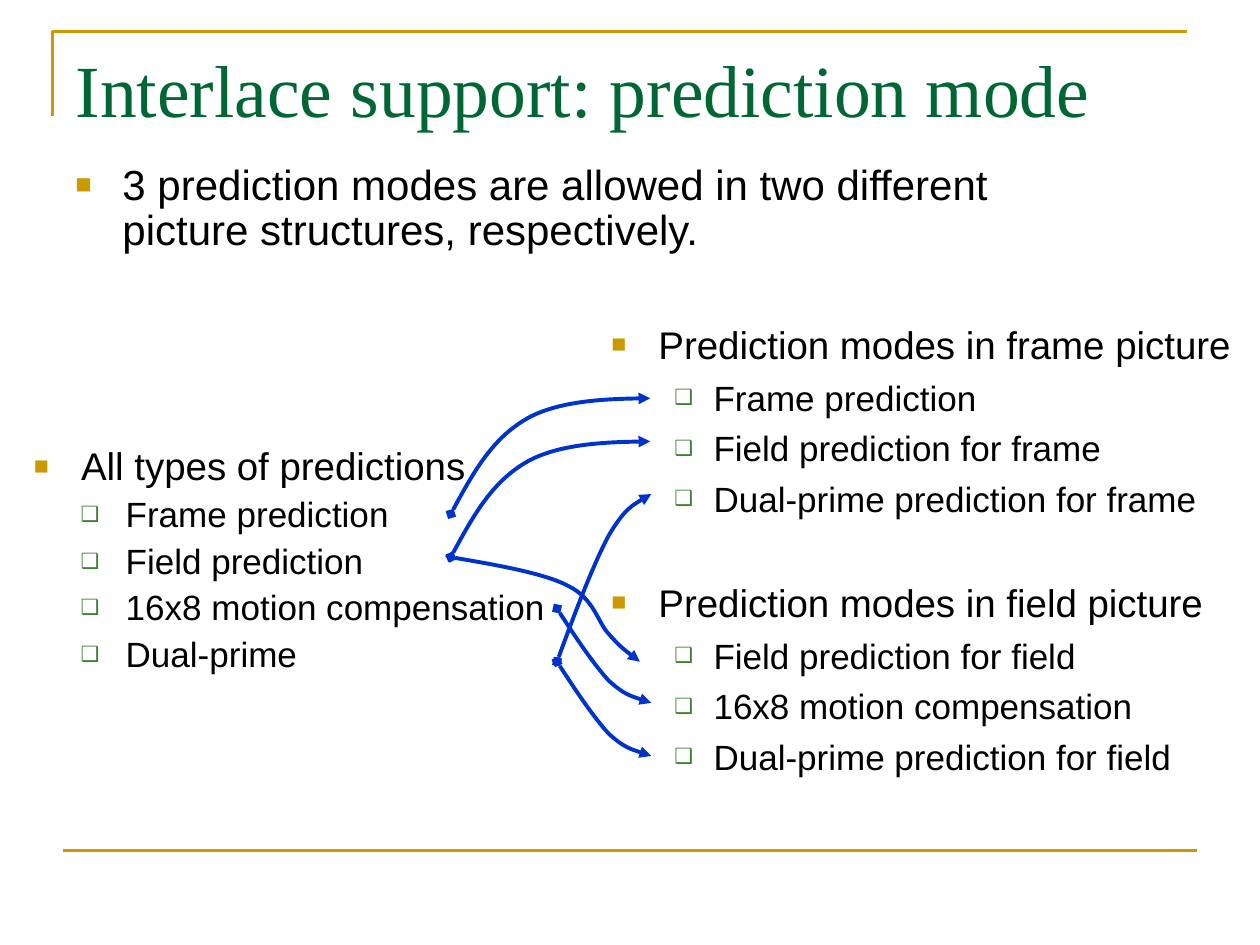
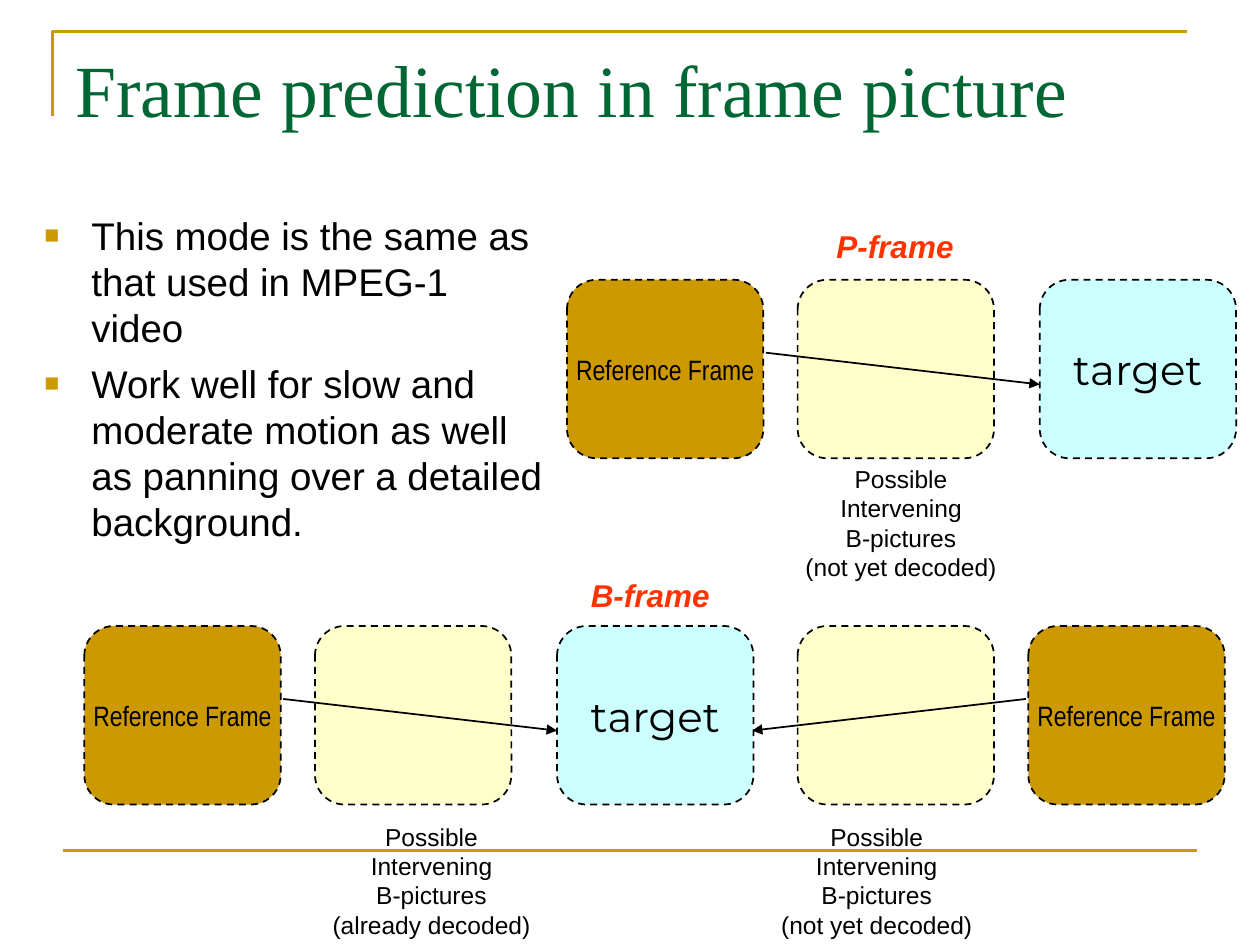
from lxml import etree
from pptx import Presentation
from pptx import util as u
from pptx.dml.color import RGBColor
from pptx.enum import dml, shapes, text
from pptx.oxml.ns import qn

GOLD = RGBColor(0xCC, 0x99, 0x00)
GREEN = RGBColor(0x00, 0x66, 0x33)
LEAF = RGBColor(0x3B, 0x81, 0x2F)
BLUE = RGBColor(0x00, 0x33, 0xCC)
CREAM = RGBColor(0xFF, 0xFF, 0xCC)
CYAN = RGBColor(0xCC, 0xFF, 0xFF)
RED = RGBColor(0xFF, 0x33, 0x00)
BLACK = RGBColor(0x00, 0x00, 0x00)

FRAME_WIDTH, FRAME_HEIGHT = 3.96, 3.6
BETWEEN_OFFSET, TARGET_OFFSET = 4.65, 9.53
B_ROW_SPAN = 22.99

RISE = [(0.41, -0.76), (0.82, -1.5), (1.5, -1.9), (2.16, -2.3), (3.6, -2.33), (4.02, -2.33)]
DROP = [(0.36, 0.56), (0.74, 1.12), (1.04, 1.45), (1.37, 1.75), (1.75, 1.85), (1.9, 1.9)]
CLIMB = [(0.36, -0.99), (0.74, -1.98), (1.04, -2.54), (1.37, -3.1), (1.75, -3.3), (1.9, -3.38)]
SWERVE = [(0.41, 0.08), (1.85, 0.3), (2.36, 0.58), (2.9, 0.84), (2.95, 1.32), (3.2, 1.57),
          (3.43, 1.83), (3.68, 2.01), (3.81, 2.11)]
PREDICTION_ARROWS = [
    ((9.09, 10.36), RISE),
    ((9.09, 11.23), RISE),
    ((11.23, 12.27), DROP),
    ((9.09, 11.23), SWERVE),
    ((11.23, 13.34), DROP),
    ((11.23, 13.34), CLIMB),
]


def cm(*lengths):
    """Turn centimetre numbers into lengths."""
    return [u.Cm(length) for length in lengths]


def place(item, box):
    """Move and size an item to a box of left, top, width and height."""
    item.left, item.top, item.width, item.height = cm(*box)


def add_span(para, words, size, font="Arial", color=BLACK, strong=False):
    """Add one formatted run to a paragraph."""
    span = para.add_run()
    span.text = words
    span.font.size, span.font.name = u.Pt(size), font
    span.font.color.rgb = color
    span.font.bold = span.font.italic = strong


def paragraphs(frame, count):
    """Return the first paragraph of an empty frame and as many new ones as needed."""
    return [frame.paragraphs[0]] + [frame.add_paragraph() for _ in range(count - 1)]


def add_bullet(para, mark, color, percent, margin, hanging):
    """Give a paragraph a coloured bullet and a hanging indent."""
    props = para._p.get_or_add_pPr()
    props.set("marL", str(u.Cm(margin)))
    props.set("indent", str(-u.Cm(hanging)))
    tint = etree.SubElement(props, qn("a:buClr"))
    etree.SubElement(tint, qn("a:srgbClr"), val=str(color))
    etree.SubElement(props, qn("a:buSzPct"), val=str(percent * 1000))
    etree.SubElement(props, qn("a:buFont"), typeface="Arial")
    etree.SubElement(props, qn("a:buChar"), char=mark)


def fill_list(body, box, items, sub_indent=(2.06, 0.79), spacing=1.0, size=22, group_gap=5.5):
    """Fill a text shape with a two-level list of (level, words) items."""
    place(body, box)
    frame = body.text_frame
    frame.word_wrap, frame.auto_size = True, text.MSO_AUTO_SIZE.NONE
    previous = 0
    for para, (level, words) in zip(paragraphs(frame, len(items)), items):
        para.level, para.line_spacing = level, spacing
        if level:
            para.space_before = u.Pt(5)
            add_bullet(para, "❑", LEAF, 60, *sub_indent)
        else:
            para.space_before = u.Pt(group_gap if previous else 5.5)
            add_bullet(para, "■", GOLD, 65, 0.95, 0.95)
        add_span(para, words, 20 if level else size)
        previous = level


def add_ends(line_shape, **ends):
    """Put arrowheads on a line, given as headEnd and tailEnd."""
    outline = line_shape.element.xpath(".//a:ln")[0]
    for tag, kind in ends.items():
        etree.SubElement(outline, qn(f"a:{tag}"), type=kind)


def add_line(page, start, end, color, width):
    """Add a straight line without a shadow."""
    line = page.shapes.add_connector(shapes.MSO_CONNECTOR.STRAIGHT, *cm(*start, *end))
    line.line.color.rgb, line.line.width = color, u.Pt(width)
    etree.SubElement(line.element.spPr, qn("a:effectLst"))
    return line


def add_outline(page, points, color, width):
    """Add an open, unfilled freeform through the points."""
    start, *others = [cm(*point) for point in points]
    builder = page.shapes.build_freeform(*start)
    builder.add_line_segments(others, close=False)
    outline = builder.convert_to_shape()
    outline.fill.background()
    outline.shadow.inherit = False
    outline.line.color.rgb, outline.line.width = color, u.Pt(width)
    return outline


def add_curved_arrow(page, start, offsets):
    """Add a Bezier arrow whose control points are offsets from its start."""
    left, top = start
    points = [start] + [(left + x, top + y) for x, y in offsets]
    arrow = add_outline(page, points, BLUE, 2.25)
    track = arrow.element.xpath(".//a:path")[0]
    for number, step in enumerate(track.findall(qn("a:lnTo"))):
        if number % 3 == 0:
            curve = etree.SubElement(track, qn("a:cubicBezTo"))
        curve.append(step[0])
        track.remove(step)
    add_ends(arrow, headEnd="diamond", tailEnd="triangle")


def add_master_rules(deck, page):
    """Draw the gold rules and hand them to the slide master."""
    rules = [
        add_outline(page, [(1.06, 2.33), (1.06, 0.64), (23.92, 0.64)], GOLD, 1.5),
        add_line(page, (1.27, 17.15), (24.13, 17.15), GOLD, 1.5),
    ]
    for number, rule in enumerate(rules, 100):
        rule.element.xpath(".//p:cNvPr")[0].set("id", str(number))
        deck.slide_master.shapes.element.append(rule.element)


def set_title(page, words):
    """Write the slide title in the shared style."""
    title = page.shapes.title
    place(title, (1.27, 0.76, 22.86, 3.18))
    frame = title.text_frame
    frame.vertical_anchor = text.MSO_ANCHOR.TOP
    frame.word_wrap, frame.auto_size = True, text.MSO_AUTO_SIZE.NONE
    para = frame.paragraphs[0]
    para.alignment = text.PP_ALIGN.LEFT
    add_span(para, words, 42, "Times New Roman", GREEN)


def add_label(page, box, lines, size, color=BLACK, strong=False, centred=True):
    """Add an unwrapped text box with one paragraph for each line."""
    label = page.shapes.add_textbox(*cm(*box))
    frame = label.text_frame
    frame.word_wrap = False
    frame.vertical_anchor = text.MSO_ANCHOR.MIDDLE if centred else text.MSO_ANCHOR.TOP
    for para, words in zip(paragraphs(frame, len(lines)), lines):
        para.alignment = text.PP_ALIGN.CENTER if centred else text.PP_ALIGN.LEFT
        add_span(para, words, size, color=color, strong=strong)


def add_caption(page, left, top, width, state):
    """Describe the intervening pictures below a frame."""
    lines = ["Possible", "Intervening", "B-pictures", f"({state} decoded)"]
    add_label(page, (left, top, width, 2.64), lines, 14)


def add_frame(page, left, top, color, words="", size=16, font="Arial Narrow"):
    """Add a dashed rounded video frame with an optional name."""
    box = cm(left, top, FRAME_WIDTH, FRAME_HEIGHT)
    frame = page.shapes.add_shape(shapes.MSO_SHAPE.ROUNDED_RECTANGLE, *box)
    frame.shadow.inherit = False
    frame.fill.solid()
    frame.fill.fore_color.rgb = color
    frame.line.color.rgb, frame.line.width = BLACK, u.Pt(1)
    frame.line.dash_style = dml.MSO_LINE.DASH
    if words:
        frame.text_frame.word_wrap = False
        frame.text_frame.vertical_anchor = text.MSO_ANCHOR.MIDDLE
        para = frame.text_frame.paragraphs[0]
        para.alignment = text.PP_ALIGN.CENTER
        add_span(para, words, size, font)


def add_target(page, left, top):
    """Add the frame that is being predicted."""
    add_frame(page, left, top, CYAN, "target", 24, "Montserrat")


def add_reference_side(page, edge, top, direction):
    """Add a reference, the frame between and an arrow, inwards from an outer edge."""
    def frame_left(offset):
        """Return the left side of a frame at an offset from the edge."""
        return edge + direction * offset - (FRAME_WIDTH if direction < 0 else 0)

    add_frame(page, frame_left(BETWEEN_OFFSET), top, CREAM)
    add_frame(page, frame_left(0), top, GOLD, "Reference Frame")
    start = (edge + direction * 4.01, top + 1.47)
    end = (edge + direction * TARGET_OFFSET, top + 2.11)
    add_ends(add_line(page, start, end, BLACK, 1), tailEnd="triangle")


def fill_prediction_modes(page):
    """Build the slide that maps prediction types to picture structures."""
    set_title(page, "Interlace support: prediction mode")
    all_types, by_structure = list(page.placeholders)[1:]
    fill_list(by_structure, (12.07, 6.35, 13.77, 10.03), [
        (0, "Prediction modes in frame picture"),
        (1, "Frame prediction"),
        (1, "Field prediction for frame"),
        (1, "Dual-prime prediction for frame"),
        (0, "Prediction modes in field picture"),
        (1, "Field prediction for field"),
        (1, "16x8 motion compensation"),
        (1, "Dual-prime prediction for field"),
    ], group_gap=34)
    fill_list(all_types, (0.43, 8.89, 11.23, 4.88), [
        (0, "All types of predictions"),
        (1, "Frame prediction"),
        (1, "Field prediction"),
        (1, "16x8 motion compensation"),
        (1, "Dual-prime"),
    ], (1.85, 0.91), 0.9)
    intro_box = (1.27, 3.18, 21.59, 3.61)
    intro = page.shapes.add_textbox(*cm(*intro_box))
    fill_list(intro, intro_box, [
        (0, "3 prediction modes are allowed in two different picture structures, respectively."),
    ], spacing=0.9, size=24)
    for start, offsets in PREDICTION_ARROWS:
        add_curved_arrow(page, start, offsets)


def add_p_frame_row(page, left, top):
    """Draw prediction from one earlier reference."""
    add_reference_side(page, left, top, 1)
    add_target(page, left + TARGET_OFFSET, top)
    add_caption(page, left + 4.55, top + 3.58, 4.37, "not yet")
    add_label(page, (left + 5.18, top - 1.19, 2.87, 1.02), ["P-frame"], 18, RED, True, False)


def add_b_frame_row(page, left, top):
    """Draw prediction from an earlier and a later reference."""
    add_reference_side(page, left, top, 1)
    add_reference_side(page, left + B_ROW_SPAN, top, -1)
    add_target(page, left + TARGET_OFFSET, top)
    add_caption(page, left + 4.75, top + 3.81, 4.5, "already")
    add_caption(page, left + 13.79, top + 3.81, 4.37, "not yet")
    add_label(page, (left + 9.96, top - 1.14, 2.9, 1.02), ["B-frame"], 18, RED, True, False)


def fill_frame_prediction(page):
    """Build the slide on frame prediction for P-frames and B-frames."""
    set_title(page, "Frame prediction in frame picture")
    fill_list(page.placeholders[1], (0.64, 4.14, 10.59, 7.29), [
        (0, "This mode is the same as that used in MPEG-1 video"),
        (0, "Work well for slow and moderate motion as well as panning over a detailed background."),
    ])
    add_p_frame_row(page, 11.43, 5.64)
    add_b_frame_row(page, 1.7, 12.62)


def main():
    """Build and save the deck."""
    deck = Presentation()
    deck.slide_width, deck.slide_height = cm(25.4, 19.05)
    modes_page = deck.slides.add_slide(deck.slide_layouts[3])
    add_master_rules(deck, modes_page)
    fill_prediction_modes(modes_page)
    fill_frame_prediction(deck.slides.add_slide(deck.slide_layouts[1]))
    deck.save("out.pptx")


if __name__ == "__main__":
    main()
